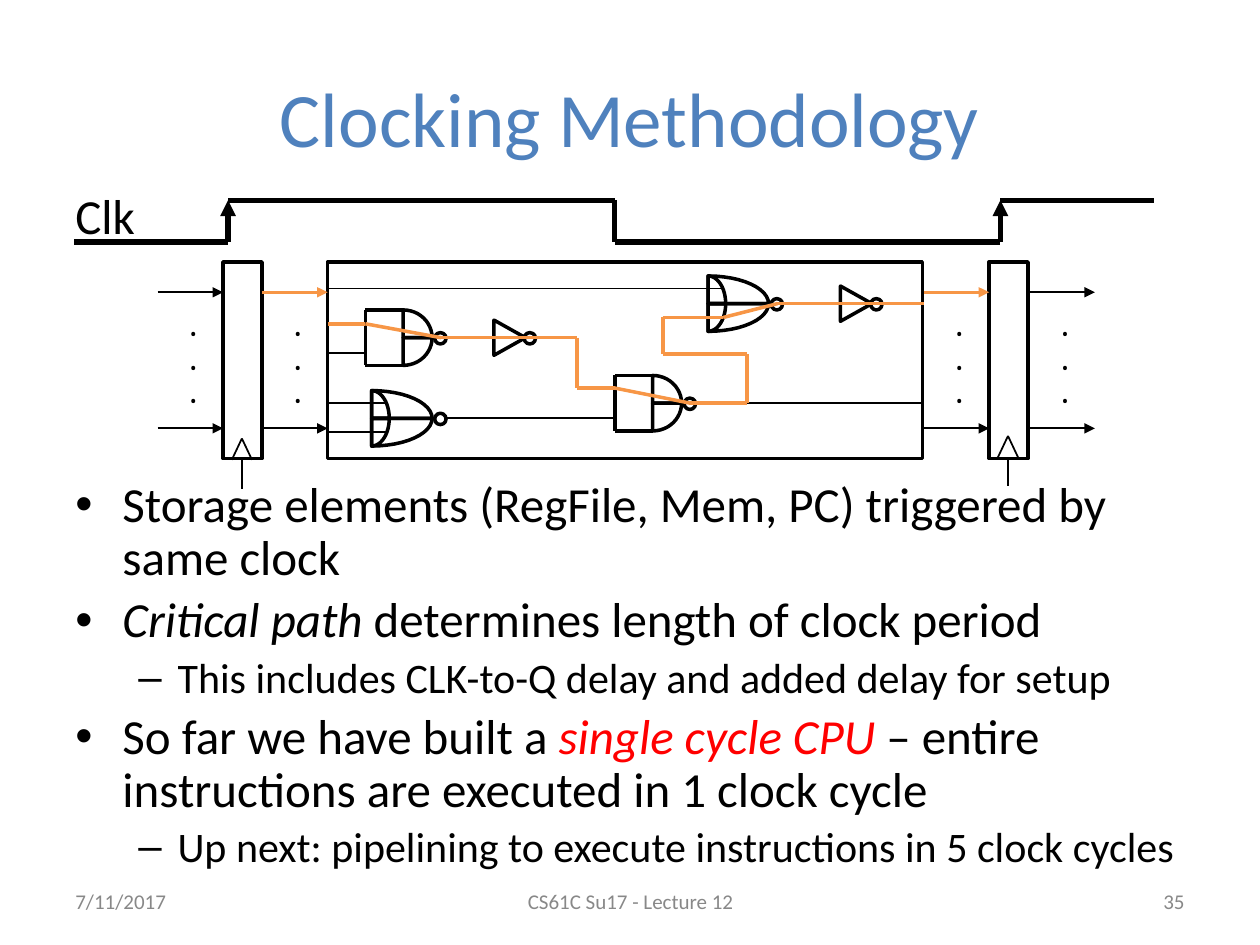
"""Build the clocking methodology slide with its register and logic diagram."""
from math import cos, pi, sin

from lxml import etree
from pptx import Presentation
from pptx import util as u
from pptx.dml.color import RGBColor
from pptx.enum import shapes, text
from pptx.oxml import ns

COLORS = {"black": "000000", "title": "4F81BD", "path": "F79646", "key": "FF0000", "footer": "888888"}
INCH = 2.54

presentation = Presentation()
presentation.slide_width, presentation.slide_height = u.Cm(25.4), u.Cm(19.05)
slide = presentation.slides.add_slide(presentation.slide_layouts[6])


def add_text(box, paragraphs, size, color="black", font="Calibri", align="LEFT", anchor="TOP", bold=False):
    """Add a text box; each paragraph is a level and a list of (words, color, italic) runs."""
    shape = slide.shapes.add_textbox(*[u.Cm(INCH * value) for value in box])
    frame = shape.text_frame
    frame.word_wrap = True
    frame.vertical_anchor = getattr(text.MSO_ANCHOR, anchor)
    for index, (level, runs) in enumerate(paragraphs):
        paragraph = frame.paragraphs[0] if index == 0 else frame.add_paragraph()
        paragraph.alignment = getattr(text.PP_ALIGN, align)
        if level is not None:
            properties = paragraph._p.get_or_add_pPr()
            left, hang, mark = [(0.95, 0.95, "•"), (2.06, 0.79, "–")][level]
            properties.set("marL", str(u.Cm(left)))
            properties.set("indent", str(-u.Cm(hang)))
            etree.SubElement(properties, ns.qn("a:buFont"), typeface="Arial")
            etree.SubElement(properties, ns.qn("a:buChar"), char=mark)
            paragraph.level = level
            paragraph.line_spacing = 0.9
            if index:
                paragraph.space_before = u.Pt([5.6, 4.8][level])
        for words, run_color, italic in runs:
            run = paragraph.add_run()
            run.text = words
            run.font.name = font
            run.font.size = u.Pt(size - 4 * (level or 0))
            run.font.bold, run.font.italic = bold, italic
            run.font.color.rgb = RGBColor.from_string(COLORS[run_color or color])


def add_line(points, width=1, color="black", arrow=False):
    """Join neighbouring points with straight connectors, the last one with an arrowhead if asked."""
    for start, end in zip(points, points[1:]):
        ends = [u.Cm(INCH * value) for value in start + end]
        connector = slide.shapes.add_connector(shapes.MSO_CONNECTOR.STRAIGHT, *ends)
        connector.line.width = u.Pt(width)
        connector.line.color.rgb = RGBColor.from_string(COLORS[color])
        if arrow and end == points[-1]:
            etree.SubElement(connector.line._get_or_add_ln(), ns.qn("a:tailEnd"), type="triangle")
        etree.SubElement(connector._element.spPr, ns.qn("a:effectLst"))


add_text((0.5, 0.3, 9, 1.25), [(None, [("Clocking Methodology", None, False)])],
         44, "title", align="CENTER", anchor="MIDDLE")
add_text((0.5, 3.76, 9, 3.3), [
    (0, [("Storage elements (RegFile, Mem, PC) triggered by same clock", None, False)]),
    (0, [("Critical path", None, True), (" determines length of clock period", None, False)]),
    (1, [("This includes CLK-to-Q delay and added delay for setup", None, False)]),
    (0, [("So far we have built a ", None, False), ("single cycle CPU", "key", True),
         (" – entire instructions are executed in 1 clock cycle", None, False)]),
    (1, [("Up next: pipelining to execute instructions in 5 clock cycles", None, False)]),
], 28)
for left, width, words, align in [(0.5, 2.33, "7/11/2017", "LEFT"),
                                  (3.42, 3.17, "CS61C Su17 - Lecture 12", "CENTER"),
                                  (7.17, 2.33, "35", "RIGHT")]:
    add_text((left, 6.95, width, 0.4), [(None, [(words, None, False)])], 12, "footer", align=align, anchor="MIDDLE")

high, low = 1.59, 1.92
add_text((0.5, 1.42, 0.69, 0.57), [(None, [("Clk", None, False)])], 28)
add_line([(0.59, low), (1.81, low)], 3)
add_line([(1.81, low), (1.81, high)], 3, arrow=True)
add_line([(1.81, high), (4.88, high), (4.88, low), (7.94, low)], 3)
add_line([(7.94, low), (7.94, high)], 3, arrow=True)
add_line([(7.94, high), (9.16, high)], 3)

outlines = [(shapes.MSO_SHAPE.RECTANGLE, left, 2.08, width, 1.56)
            for left, width in [(1.77, 0.31), (2.6, 4.72), (7.85, 0.31)]]
polygons = []
for left in (1.25, 2.08, 7.33, 8.17):
    add_line([(left, 3.4), (left + 0.52, 3.4)], arrow=True)
    add_text((left + 0.16, 2.4, 0.25, 0.9), [(None, [(".", None, False)])] * 3, 16, font="Cambria", bold=True)
for center, bottom in [(1.92, 3.65), (8, 3.63)]:
    add_line([(center - 0.08, bottom), (center, bottom - 0.17), (center + 0.08, bottom)])
    add_line([(center, bottom), (center, bottom + 0.23)])

wedges = []
for left, middle in [(2.9, 2.68), (4.88, 3.2)]:
    add_line([(left + 0.3, middle - 0.22), (left, middle - 0.22),
              (left, middle + 0.22), (left + 0.3, middle + 0.22)], 2)
    add_line([(left - 0.3, middle + 0.12), (left, middle + 0.12)])
    wedges.append((left + 0.3, middle, 0.23))
    outlines.append((shapes.MSO_SHAPE.OVAL, left + 0.55, middle - 0.04, 0.09, 0.09))
for left, middle in [(2.95, 3.32), (5.62, 2.41)]:
    wedges += [(left, middle, 0.48), (left, middle, 0.14)]
    outlines.append((shapes.MSO_SHAPE.OVAL, left + 0.5, middle - 0.04, 0.09, 0.09))
for left, middle in [(3.92, 2.68), (6.67, 2.41)]:
    polygons.append([(left, middle - 0.14), (left + 0.25, middle), (left, middle + 0.14)])
    outlines.append((shapes.MSO_SHAPE.OVAL, left + 0.24, middle - 0.04, 0.09, 0.09))
for left, middle, radius in wedges:
    for side in (-1, 1):
        arc = [(left + radius * sin(step * pi / 24), middle + side * 0.22 * cos(step * pi / 24))
               for step in range(13)]
        polygons.append(arc + [(left, middle)])

drawn = [slide.shapes.add_shape(kind, *[u.Cm(INCH * value) for value in box]) for kind, *box in outlines]
for polygon in polygons:
    corners = [(u.Cm(INCH * x), u.Cm(INCH * y)) for x, y in polygon]
    builder = slide.shapes.build_freeform(*corners[0])
    builder.add_line_segments(corners[1:], close=True)
    drawn.append(builder.convert_to_shape())
for shape in drawn:
    shape.shadow.inherit = False
    shape.fill.background()
    shape.line.width = u.Pt(2)
    shape.line.color.rgb = RGBColor.from_string(COLORS["black"])

for wire in [[(2.6, 2.29), (5.74, 2.29)], [(2.6, 3.2), (3.07, 3.2)], [(2.6, 3.43), (3.07, 3.43)],
             [(3.55, 3.32), (4.88, 3.32)], [(5.92, 3.2), (7.32, 3.2)]]:
    add_line(wire)
for left, color, width in [(1.25, "black", 1), (2.08, "path", 2), (7.33, "path", 2), (8.17, "black", 1)]:
    add_line([(left, 2.32), (left + 0.52, 2.32)], width, color, arrow=True)
add_line([(2.6, 2.57), (2.9, 2.57), (3.5, 2.68), (4.58, 2.68), (4.58, 3.08), (4.88, 3.08), (5.48, 3.2),
          (5.93, 3.2), (5.93, 2.81), (5.26, 2.81), (5.26, 2.52), (5.74, 2.52), (6.17, 2.41), (7.33, 2.41)],
         2, "path")

presentation.save("out.pptx")
